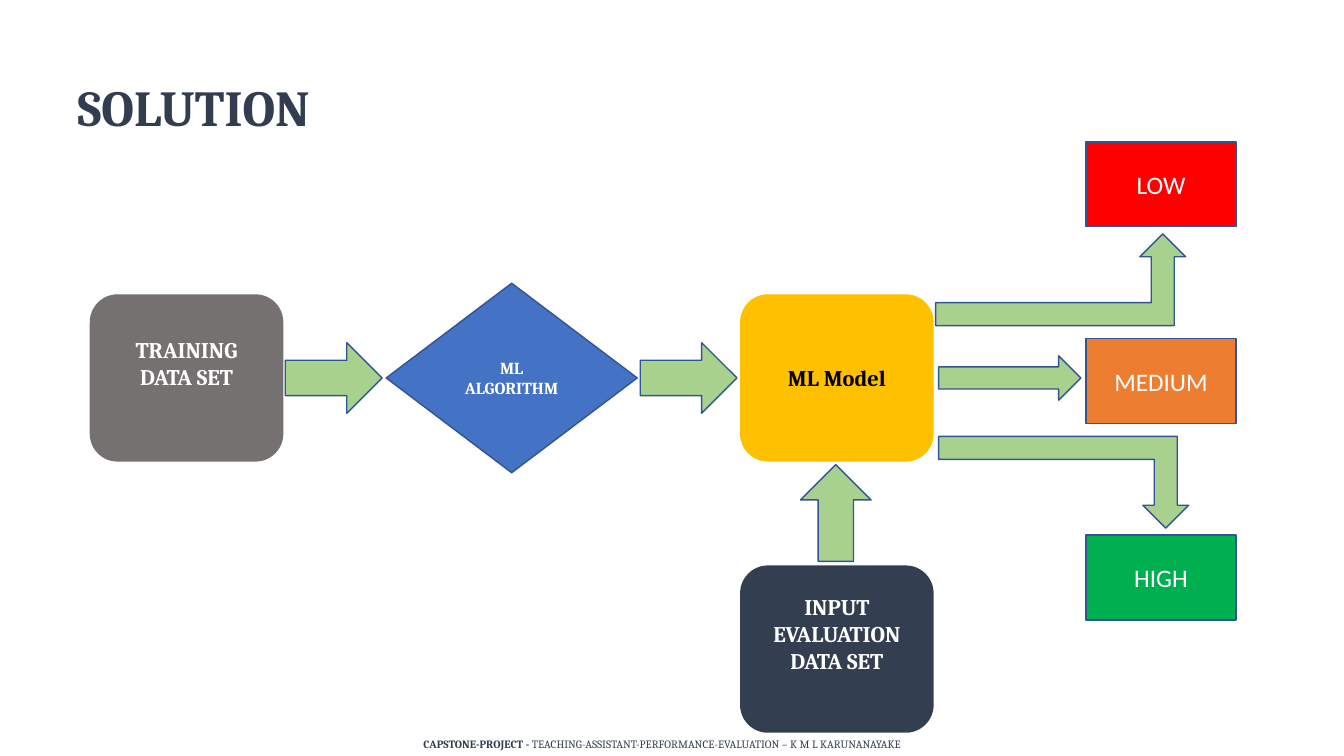
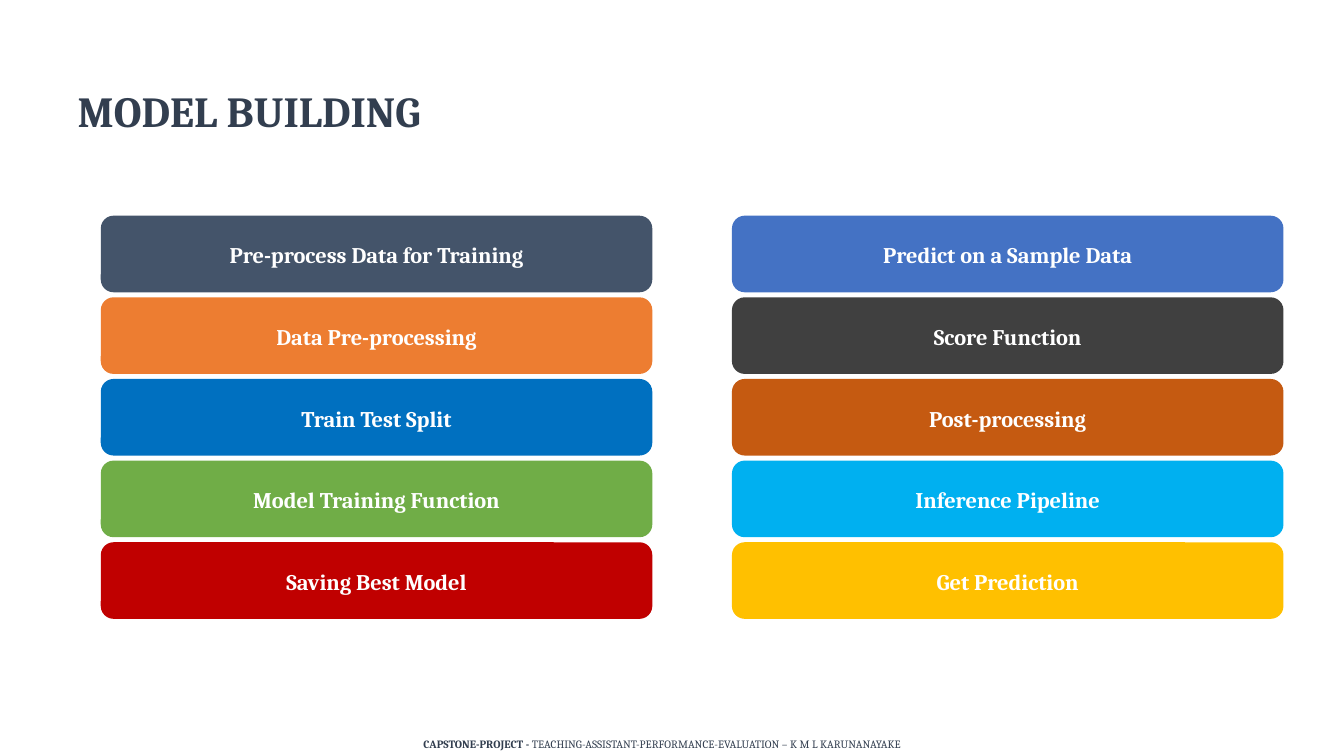
from pptx import Presentation
from pptx.dml.color import RGBColor
from pptx.enum.shapes import MSO_SHAPE
from pptx.enum.text import MSO_ANCHOR, MSO_AUTO_SIZE, PP_ALIGN
from pptx.util import Inches, Pt

RECTANGLE = MSO_SHAPE.RECTANGLE
ROUNDED = MSO_SHAPE.ROUNDED_RECTANGLE
DIAMOND = MSO_SHAPE.DIAMOND
RIGHT_ARROW = MSO_SHAPE.RIGHT_ARROW
UP_ARROW = MSO_SHAPE.UP_ARROW
BENT_ARROW = MSO_SHAPE.BENT_UP_ARROW
LEFT, CENTER = PP_ALIGN.LEFT, PP_ALIGN.CENTER
MIDDLE, BOTTOM = MSO_ANCHOR.MIDDLE, MSO_ANCHOR.BOTTOM
NO_AUTOFIT = MSO_AUTO_SIZE.NONE
TITLE_ONLY = 5

WHITE = RGBColor(0xFF, 0xFF, 0xFF)
BLACK = RGBColor(0x00, 0x00, 0x00)
INK = RGBColor(0x32, 0x3E, 0x4F)
NAVY = RGBColor(0x33, 0x3F, 0x50)
OUTLINE = RGBColor(0x32, 0x54, 0x91)
GRAY = RGBColor(0x76, 0x71, 0x71)
CHARCOAL = RGBColor(0x40, 0x40, 0x40)
SLATE = RGBColor(0x44, 0x54, 0x6A)
BLUE = RGBColor(0x44, 0x72, 0xC4)
DEEP_BLUE = RGBColor(0x00, 0x70, 0xC0)
SKY = RGBColor(0x00, 0xB0, 0xF0)
GOLD = RGBColor(0xFF, 0xC0, 0x00)
ORANGE = RGBColor(0xED, 0x7D, 0x31)
RUST = RGBColor(0xC5, 0x5A, 0x11)
RED = RGBColor(0xFF, 0x00, 0x00)
DARK_RED = RGBColor(0xC0, 0x00, 0x00)
GREEN = RGBColor(0x00, 0xB0, 0x50)
LEAF = RGBColor(0x70, 0xAD, 0x47)
PALE_GREEN = RGBColor(0xA9, 0xD1, 0x8E)

SERIF, SANS = "Cambria", "Calibri"


class Deck:
    """Holds the presentation, its style and the page being filled."""

    def __init__(self):
        self.presentation = Presentation()
        self.presentation.slide_width = Inches(13.33)
        self.presentation.slide_height = Inches(7.5)
        self.page = None

    def add_page(self, title, title_size, title_spacing):
        layout = self.presentation.slide_layouts[TITLE_ONLY]
        self.page = self.presentation.slides.add_slide(layout)
        box = self.page.shapes.title
        self.place(box, 0.67, 0.57, 3.86, 0.84)
        self.set_text(box, title, title_size, INK, align=LEFT, anchor=BOTTOM,
                      spacing=title_spacing)

    def place(self, box, left, top, width, height):
        box.left, box.top = Inches(left), Inches(top)
        box.width, box.height = Inches(width), Inches(height)

    def set_text(self, box, text, size, color, font=SERIF, bold=True,
                 align=CENTER, anchor=MIDDLE, spacing=None):
        """Fill a box with one styled paragraph; spacing also adds a gap below."""
        frame = box.text_frame
        frame.word_wrap = True
        frame.auto_size = NO_AUTOFIT
        frame.vertical_anchor = anchor
        para = frame.paragraphs[0]
        para.text = text
        para.alignment = align
        if spacing:
            para.line_spacing = spacing
            para.space_after = Pt(8)
        para.font.name = font
        para.font.size = Pt(size)
        para.font.bold = bold
        para.font.color.rgb = color
        return para

    def shape(self, kind, left, top, width, height, fill, outlined=False):
        shape = self.page.shapes.add_shape(
            kind, Inches(left), Inches(top), Inches(width), Inches(height))
        shape.shadow.inherit = False
        shape.fill.solid()
        shape.fill.fore_color.rgb = fill
        if outlined:
            shape.line.color.rgb = OUTLINE
            shape.line.width = Pt(1)
        else:
            shape.line.fill.background()
        return shape

    def block(self, text, left, top, fill, color=WHITE, lift=0):
        """Add a rounded flow block; lift is extra room under its text."""
        box = self.shape(ROUNDED, left, top, 1.92, 1.66, fill)
        self.set_text(box, text, 16, color)
        box.text_frame.margin_bottom = Inches(0.05 + lift)

    def diamond(self, text, left, top, width, height):
        box = self.shape(DIAMOND, left, top, width, height, BLUE, outlined=True)
        self.set_text(box, text, 12, WHITE)

    def outcome(self, text, top, fill):
        box = self.shape(RECTANGLE, 10.77, top, 1.49, 0.84, fill, outlined=True)
        self.set_text(box, text, 18, WHITE, font=SANS, bold=False)

    def arrow(self, kind, left, top, width, height, flipped=False):
        arrow = self.shape(kind, left, top, width, height, PALE_GREEN, outlined=True)
        if flipped:
            arrow._element.spPr.xfrm.set("flipV", "1")

    def bar(self, text, left, top, fill):
        box = self.shape(ROUNDED, left, top, 5.47, 0.76, fill)
        self.set_text(box, text, 16, WHITE, spacing=1.07)

    def footer(self):
        box = self.page.shapes.add_textbox(
            Inches(2.31), Inches(6.98), Inches(8.52), Inches(0.52))
        para = self.set_text(box, "CAPSTONE-PROJECT - ", 8, INK, anchor=BOTTOM,
                             spacing=1.07)
        span = para.add_run()
        span.text = "TEACHING-ASSISTANT-PERFORMANCE-EVALUATION – K M L KARUNANAYAKE"
        span.font.bold = False


def build_solution(deck):
    deck.add_page("SOLUTION", 36, 1.07)
    deck.block("TRAINING DATA SET", 0.89, 2.92, GRAY, lift=0.3)
    deck.diamond("ML ALGORITHM", 3.83, 2.81, 2.49, 1.88)
    deck.block("ML Model", 7.34, 2.92, GOLD, color=BLACK)
    outcomes = [("LOW", RED), ("MEDIUM", ORANGE), ("HIGH", GREEN)]
    for row, (text, fill) in enumerate(outcomes):
        deck.outcome(text, 1.41 + row * 1.95, fill)
    deck.block("INPUT EVALUATION DATA SET", 7.34, 5.61, NAVY, lift=0.3)
    for left in (2.83, 6.35):
        deck.arrow(RIGHT_ARROW, left, 3.4, 0.96, 0.7)
    deck.arrow(UP_ARROW, 7.94, 4.61, 0.7, 0.96)
    deck.arrow(BENT_ARROW, 9.28, 2.32, 2.48, 0.91)
    deck.arrow(RIGHT_ARROW, 9.31, 3.53, 1.41, 0.44)
    deck.arrow(BENT_ARROW, 9.31, 4.33, 2.48, 0.91, flipped=True)
    deck.footer()


def build_model_building(deck):
    deck.add_page("MODEL BUILDING", 30.6, 0.97)
    columns = {
        1.0: [("Pre-process Data for Training", SLATE),
              ("Data Pre-processing", ORANGE),
              ("Train Test Split", DEEP_BLUE),
              ("Model Training Function", LEAF),
              ("Saving Best Model", DARK_RED)],
        7.26: [("Predict on a Sample Data", BLUE),
               ("Score Function", CHARCOAL),
               ("Post-processing", RUST),
               ("Inference Pipeline", SKY),
               ("Get Prediction", GOLD)],
    }
    for left, steps in columns.items():
        for row, (text, fill) in enumerate(steps):
            deck.bar(text, left, 2.14 + row * 0.81, fill)
    deck.footer()


def main():
    deck = Deck()
    build_solution(deck)
    build_model_building(deck)
    deck.presentation.save("out.pptx")


if __name__ == "__main__":
    main()
